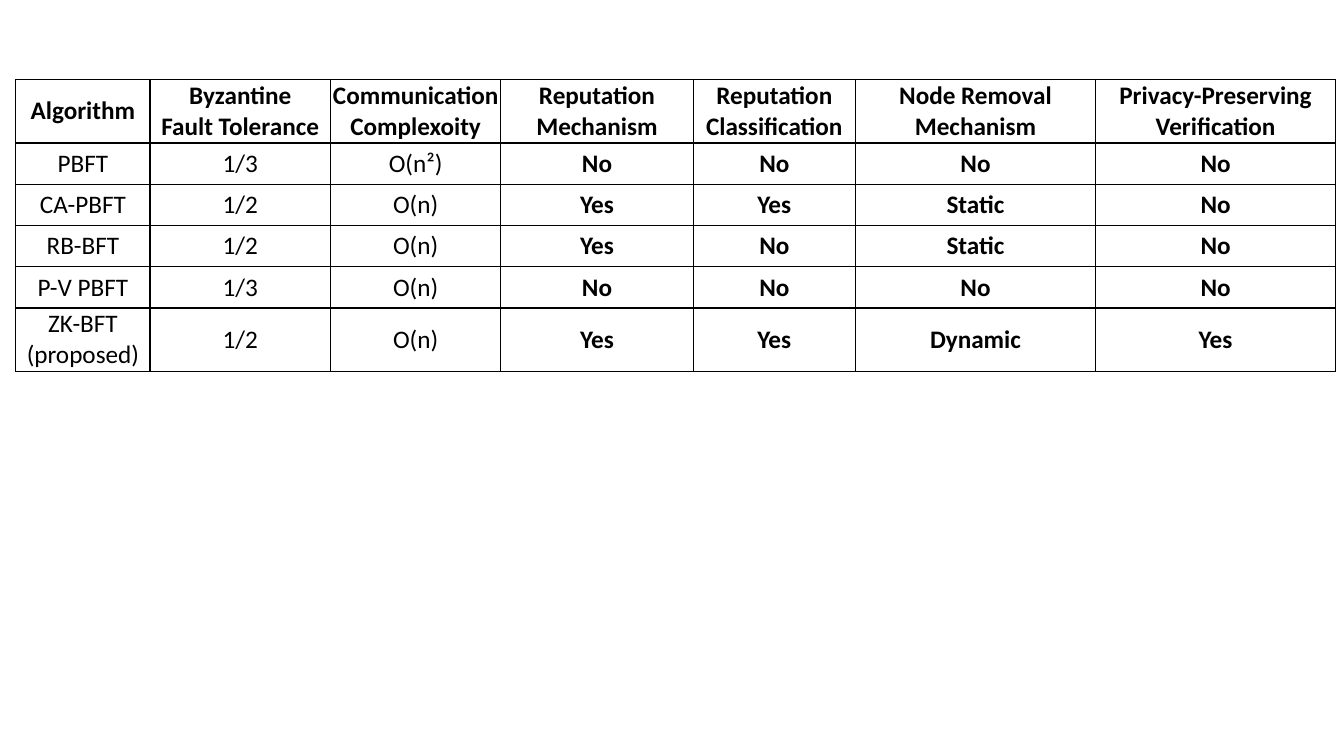
from dataclasses import dataclass

from lxml import etree
from pptx import Presentation
from pptx.dml.color import RGBColor
from pptx.enum.text import MSO_ANCHOR, PP_ALIGN
from pptx.oxml.ns import qn
from pptx.util import Cm, Pt

CENTER = PP_ALIGN.CENTER
MIDDLE = MSO_ANCHOR.MIDDLE


@dataclass(frozen=True)
class Theme:
    font: str = "Calibri"
    size: int = 18
    ink: str = "000000"
    border: int = 1


THEME = Theme()

ALGORITHMS = [
    ("Algorithm", "Byzantine\nFault Tolerance", "Communication Complexoity",
     "Reputation Mechanism", "Reputation Classification",
     "Node Removal Mechanism", "Privacy-Preserving Verification"),
    ("PBFT", "1/3", "O(n²)", "No", "No", "No", "No"),
    ("CA-PBFT", "1/2", "O(n)", "Yes", "Yes", "Static", "No"),
    ("RB-BFT", "1/2", "O(n)", "Yes", "No", "Static", "No"),
    ("P-V PBFT", "1/3", "O(n)", "No", "No", "No", "No"),
    ("ZK-BFT (proposed)", "1/2", "O(n)", "Yes", "Yes", "Dynamic", "Yes"),
]
COLUMN_WIDTHS = [3.38, 4.55, 4.29, 4.85, 4.09, 6.05, 6.05]
ROW_HEIGHT = 1.04
FIRST_FEATURE_COLUMN = 3


def add_borders(cell):
    """Draw a solid line on all four sides; lines must precede the fill."""
    properties = cell._tc.get_or_add_tcPr()
    for position, side in enumerate(("lnL", "lnR", "lnT", "lnB")):
        line = etree.Element(qn(f"a:{side}"), w=str(Pt(THEME.border)))
        fill = etree.SubElement(line, qn("a:solidFill"))
        etree.SubElement(fill, qn("a:srgbClr"), val=THEME.ink)
        properties.insert(position, line)


prs = Presentation()
prs.slide_width, prs.slide_height = Cm(33.87), Cm(19.05)
slide = prs.slides.add_slide(prs.slide_layouts[6])

comparison = slide.shapes.add_table(
    len(ALGORITHMS), len(COLUMN_WIDTHS), Cm(0.4), Cm(2.01),
    Cm(sum(COLUMN_WIDTHS)), Cm(ROW_HEIGHT * len(ALGORITHMS))).table
comparison.horz_banding = False

for column, width in zip(comparison.columns, COLUMN_WIDTHS):
    column.width = Cm(width)
for row in comparison.rows:
    row.height = Cm(ROW_HEIGHT)

for r, algorithm in enumerate(ALGORITHMS):
    for c, entry in enumerate(algorithm):
        cell = comparison.cell(r, c)
        cell.fill.background()
        add_borders(cell)
        cell.vertical_anchor = MIDDLE
        cell.margin_left = cell.margin_right = Cm(0.04)
        cell.margin_top = cell.margin_bottom = Cm(0.02)
        cell.text_frame.text = entry
        for paragraph in cell.text_frame.paragraphs:
            paragraph.alignment = CENTER
            paragraph.font.name = THEME.font
            paragraph.font.size = Pt(THEME.size)
            paragraph.font.bold = r == 0 or c >= FIRST_FEATURE_COLUMN
            paragraph.font.color.rgb = RGBColor.from_string(THEME.ink)

prs.save("out.pptx")
